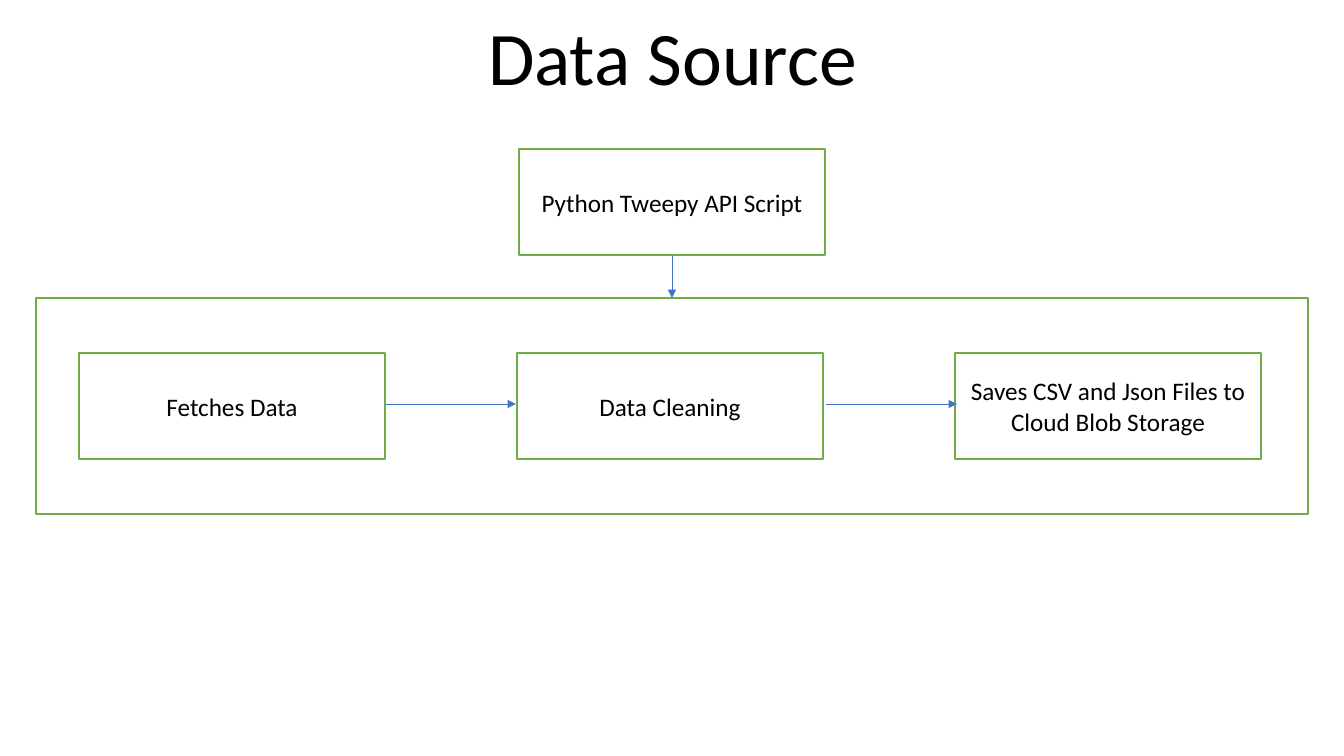
from dataclasses import dataclass

from lxml import etree
from pptx import Presentation
from pptx.dml.color import RGBColor
from pptx.enum.shapes import MSO_CONNECTOR, MSO_SHAPE
from pptx.enum.text import MSO_ANCHOR, PP_ALIGN
from pptx.oxml.ns import qn
from pptx.shapes.autoshape import Shape
from pptx.slide import Slide
from pptx.util import Emu, Pt

RECT = MSO_SHAPE.RECTANGLE
STRAIGHT = MSO_CONNECTOR.STRAIGHT
MIDDLE = MSO_ANCHOR.MIDDLE
CENTER = PP_ALIGN.CENTER

FONT = "Calibri"
BLACK, WHITE, GREEN, BLUE = "000000", "FFFFFF", "70AD47", "4472C4"
BOX_W, BOX_H = 306, 106
STEP_X, STEP_Y, STEP_PITCH = 79, 353, 438
ARROW_X, ARROW_Y, ARROW_PITCH, ARROW_LEN = 385, 404, 441, 131
STEPS = ["Fetches Data", "Data Cleaning", "Saves CSV and Json Files to Cloud Blob Storage"]


@dataclass
class Box:
    x: int
    y: int
    w: int = BOX_W
    h: int = BOX_H
    text: str = ""


@dataclass
class Arrow:
    x1: int
    y1: int
    x2: int
    y2: int


def px(n: int) -> Emu:
    return Emu(round(n * 914400 / 100.8))


def rgb(color: str) -> RGBColor:
    return RGBColor.from_string(color)


def write(sp: Shape, text: str, size: int) -> None:
    p = sp.text_frame.paragraphs[0]
    p.text = text
    p.alignment = CENTER
    p.font.name = FONT
    p.font.size = Pt(size)
    p.font.color.rgb = rgb(BLACK)


def draw_title(s: Slide, box: Box) -> None:
    sp = s.shapes.add_textbox(px(box.x), px(box.y), px(box.w), px(box.h))
    sp.text_frame.word_wrap = False
    write(sp, box.text, 54)


def draw_box(s: Slide, box: Box) -> None:
    sp = s.shapes.add_shape(RECT, px(box.x), px(box.y), px(box.w), px(box.h))
    sp.shadow.inherit = False
    sp.fill.solid()
    sp.fill.fore_color.rgb = rgb(WHITE)
    sp.line.color.rgb = rgb(GREEN)
    sp.line.width = Pt(1)
    if box.text:
        sp.text_frame.word_wrap = True
        sp.text_frame.vertical_anchor = MIDDLE
        write(sp, box.text, 18)


def draw_arrow(s: Slide, arrow: Arrow) -> None:
    line = s.shapes.add_connector(
        STRAIGHT, px(arrow.x1), px(arrow.y1), px(arrow.x2), px(arrow.y2)
    )
    line.line.color.rgb = rgb(BLUE)
    line.line.width = Pt(0.5)
    etree.SubElement(line.line._get_or_add_ln(), qn("a:tailEnd"), type="triangle")
    etree.SubElement(line._element.spPr, qn("a:effectLst"))


def main() -> None:
    prs = Presentation()
    prs.slide_width, prs.slide_height = px(1344), px(756)
    s = prs.slides.add_slide(prs.slide_layouts[6])

    draw_title(s, Box(476, 5, 393, 102, "Data Source"))

    boxes = [Box(519, 149, text="Python Tweepy API Script"), Box(36, 298, 1272, 216)]
    boxes += [Box(STEP_X + i * STEP_PITCH, STEP_Y, text=t) for i, t in enumerate(STEPS)]
    for box in boxes:
        draw_box(s, box)

    arrows = [Arrow(672, 256, 672, 298)]
    for i in range(len(STEPS) - 1):
        x = ARROW_X + i * ARROW_PITCH
        arrows.append(Arrow(x, ARROW_Y, x + ARROW_LEN, ARROW_Y))
    for arrow in arrows:
        draw_arrow(s, arrow)

    prs.save("out.pptx")


main()
